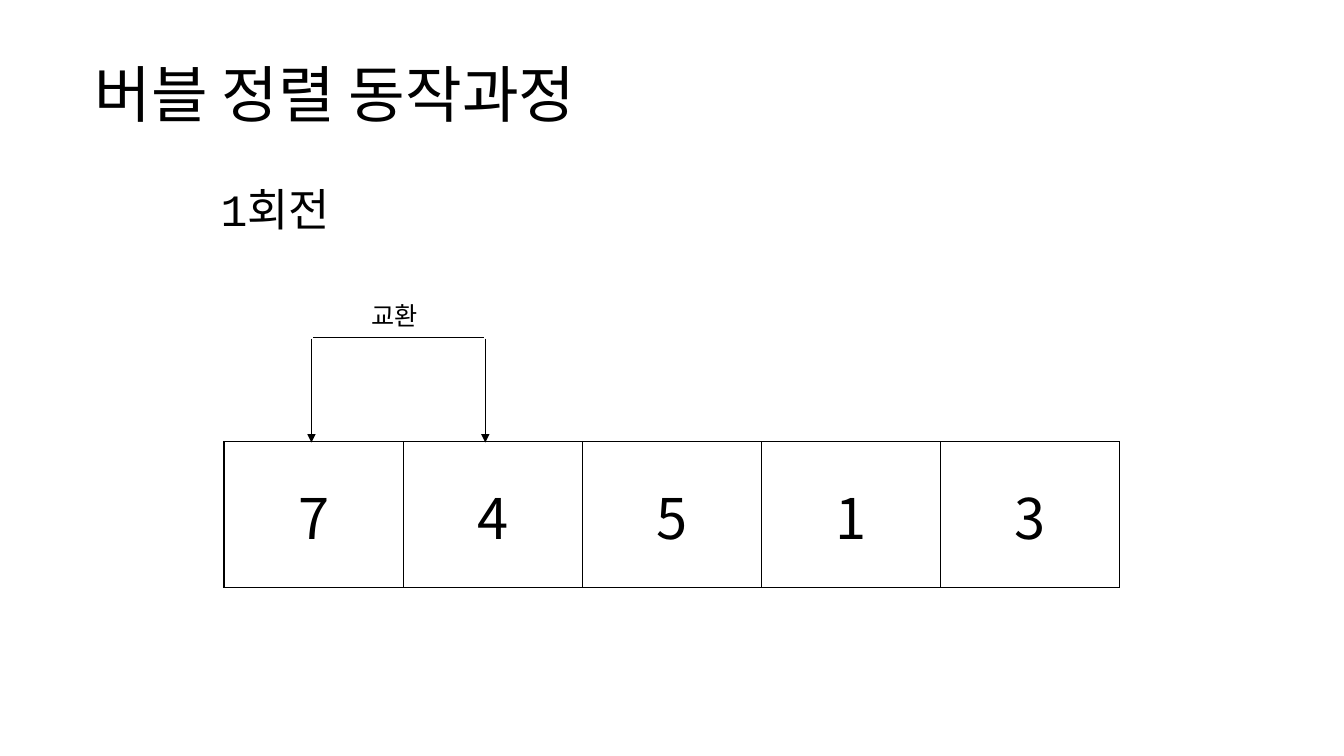
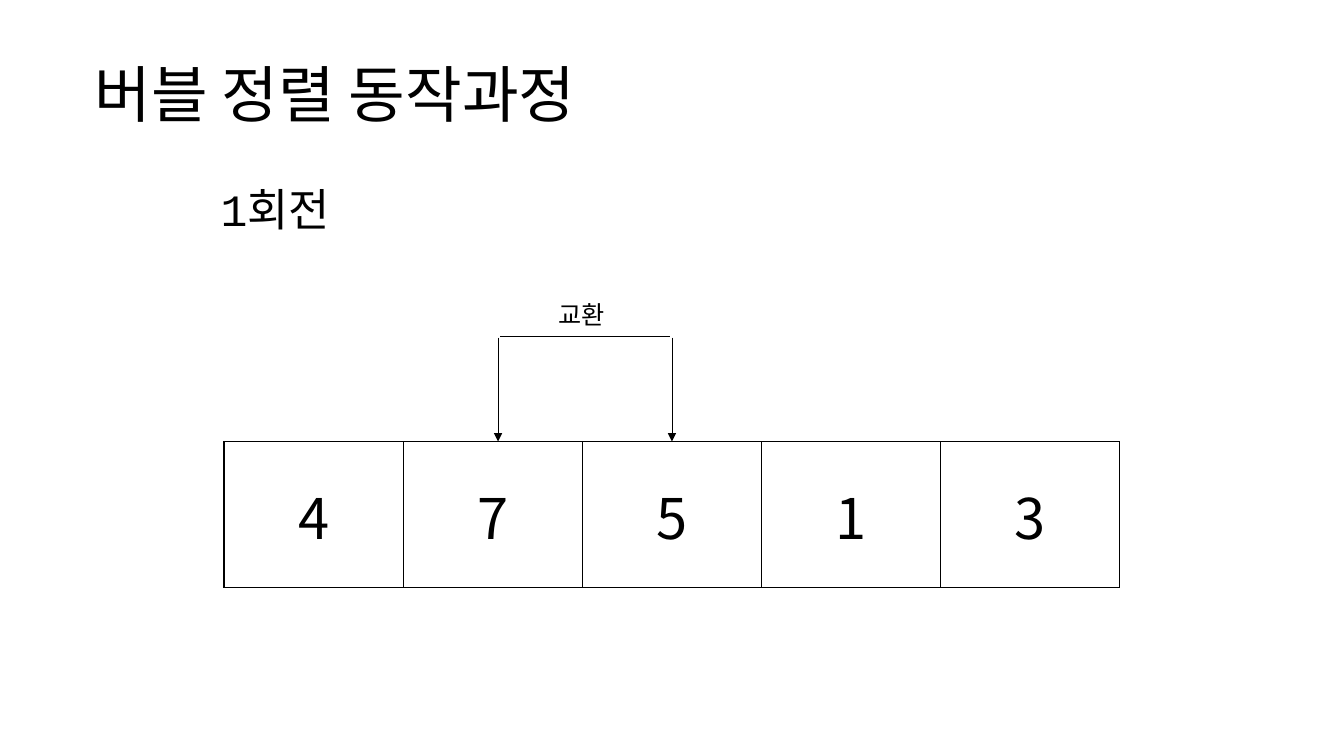
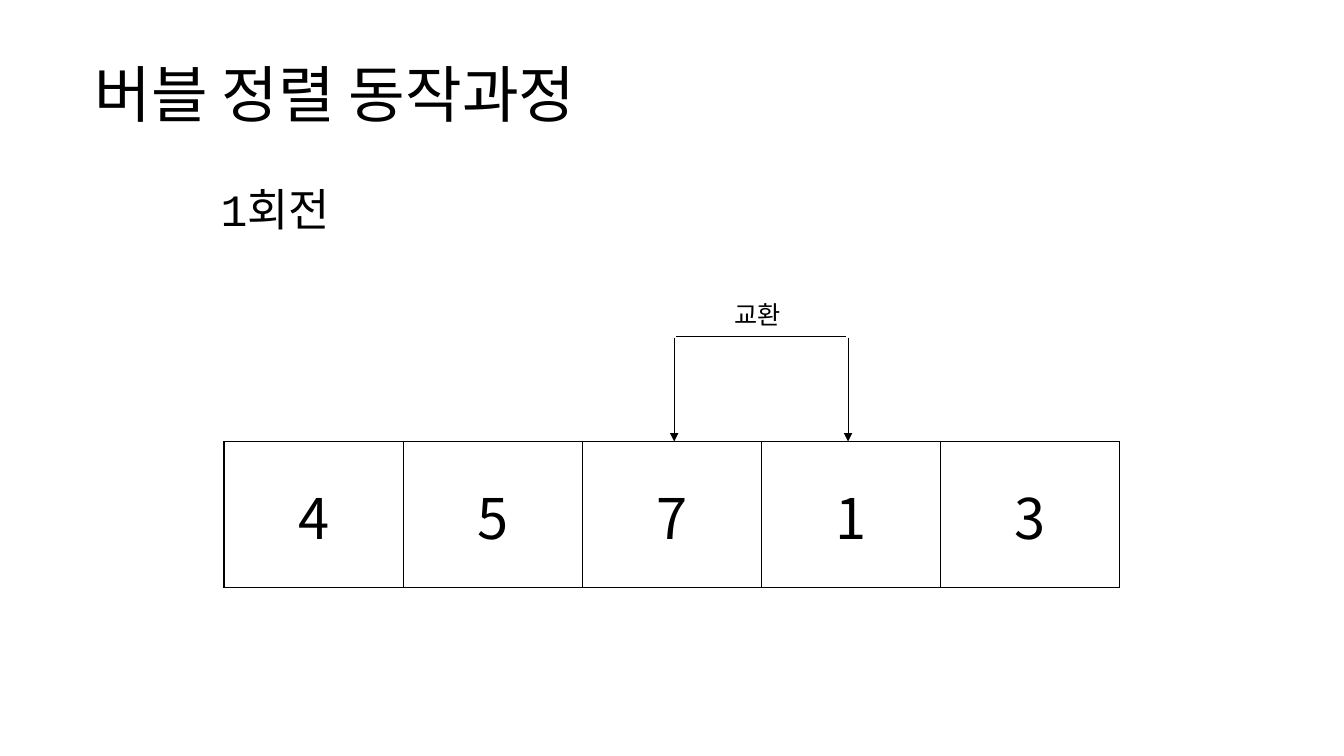
"""Build three slides that show the first pass of a bubble sort."""
from dataclasses import dataclass
from typing import Any

from lxml import etree
from pptx import Presentation
from pptx import util as u
from pptx.dml import color
from pptx.enum import shapes, text
from pptx.oxml import ns

BLACK = color.RGBColor(0x00, 0x00, 0x00)
WHITE = color.RGBColor(0xFF, 0xFF, 0xFF)
SANS = "Noto Sans CJK KR"
MONO = "Courier New"

ARRAY_LEFT, ARRAY_TOP = 160, 315.5
CELL_WIDTH, CELL_HEIGHT = 128, 104.4
ARROW_LENGTH, ARROW_GAP = 74.2, 124.2
BAR_INSET, BAR_RISE = 1.2, 0.7
LABEL_SHIFT, LABEL_RISE = 36, 38.2


@dataclass(frozen=True)
class Step:
    """Array values and the place of the swap bracket."""
    values: str
    swap_left: float
    swap_top: float = 241.2


STEPS = (
    Step("74513", 222.5, 241.9),
    Step("47513", 355.8),
    Step("45713", 481.6),
)


def write(frame: Any, content: str, *, size: float, font: str = SANS,
          align: Any = text.PP_ALIGN.LEFT, spacing: float = 0.9) -> None:
    """Put one formatted paragraph into a text frame."""
    paragraph = frame.paragraphs[0]
    paragraph.alignment = align
    paragraph.line_spacing = spacing
    run = paragraph.add_run()
    run.text = content
    run.font.size = u.Pt(size)
    run.font.name = font
    run.font.color.rgb = BLACK
    east_asian = etree.SubElement(run.font._element, ns.qn("a:ea"))
    east_asian.set("typeface", SANS)


def add_text(parent: Any, content: str, left: float, top: float,
             width: float, height: float, **style: Any) -> None:
    """Add a wrapped, vertically centred text box."""
    box = parent.add_textbox(u.Pt(left), u.Pt(top), u.Pt(width), u.Pt(height))
    box.text_frame.word_wrap = True
    box.text_frame.vertical_anchor = text.MSO_ANCHOR.MIDDLE
    write(box.text_frame, content, **style)


def add_line(parent: Any, x1: float, y1: float, x2: float, y2: float,
             arrow: bool = False) -> None:
    """Add a thin black line, with an arrowhead at its end if asked."""
    line = parent.add_connector(shapes.MSO_CONNECTOR.STRAIGHT,
                                u.Pt(x1), u.Pt(y1), u.Pt(x2), u.Pt(y2))
    line.line.width = u.Pt(0.5)
    line.line.color.rgb = BLACK
    properties = line._element.spPr
    if arrow:
        head = etree.SubElement(properties.find(ns.qn("a:ln")), ns.qn("a:tailEnd"))
        head.set("type", "triangle")
    etree.SubElement(properties, ns.qn("a:effectLst"))


def add_borders(cell: Any) -> None:
    """Give a table cell a black border on each side."""
    properties = cell._tc.get_or_add_tcPr()
    for side in ("lnL", "lnR", "lnT", "lnB"):
        border = etree.SubElement(properties, ns.qn(f"a:{side}"), w=str(u.Pt(1)))
        fill = etree.SubElement(border, ns.qn("a:solidFill"))
        etree.SubElement(fill, ns.qn("a:srgbClr"), val=str(BLACK))


def add_array(parent: Any, values: str) -> None:
    """Draw the array as a one-row table."""
    array = parent.add_table(
        1, len(values), u.Pt(ARRAY_LEFT), u.Pt(ARRAY_TOP),
        u.Pt(CELL_WIDTH * len(values)), u.Pt(CELL_HEIGHT)).table
    array.first_row = False
    array.horz_banding = False
    for cell, value in zip(array.rows[0].cells, values):
        add_borders(cell)
        cell.fill.background()
        cell.vertical_anchor = text.MSO_ANCHOR.MIDDLE
        write(cell.text_frame, value, size=40,
              align=text.PP_ALIGN.CENTER, spacing=1.0)


def add_swap(parent: Any, left: float, top: float) -> None:
    """Draw the labelled bracket over the two swapped values."""
    bracket = parent.add_group_shape().shapes
    right = left + ARROW_GAP
    bar = top - BAR_RISE
    for x in (left, right):
        add_line(bracket, x, top, x, top + ARROW_LENGTH, arrow=True)
    add_line(bracket, left + BAR_INSET, bar, right - BAR_INSET, bar)
    add_text(bracket, "교환", left + LABEL_SHIFT, top - LABEL_RISE, 52, 45.4,
             size=18, font=MONO)


def add_step(deck: Any, step: Step) -> None:
    """Add the slide for one step of the sort."""
    slide = deck.slides.add_slide(deck.slide_layouts[6])
    add_text(slide.shapes, "버블 정렬 동작과정", 60.5, 17.3, 828, 104.4, size=44)
    add_text(slide.shapes, "1회전", 150.5, 120.2, 121.7, 62.6, size=32, font=MONO)
    add_array(slide.shapes, step.values)
    add_swap(slide.shapes, step.swap_left, step.swap_top)


def main() -> None:
    """Build and save the deck."""
    deck = Presentation()
    deck.slide_width, deck.slide_height = u.Pt(960), u.Pt(540)
    background = deck.slide_master.background.fill
    background.solid()
    background.fore_color.rgb = WHITE
    for step in STEPS:
        add_step(deck, step)
    deck.save("out.pptx")


main()
